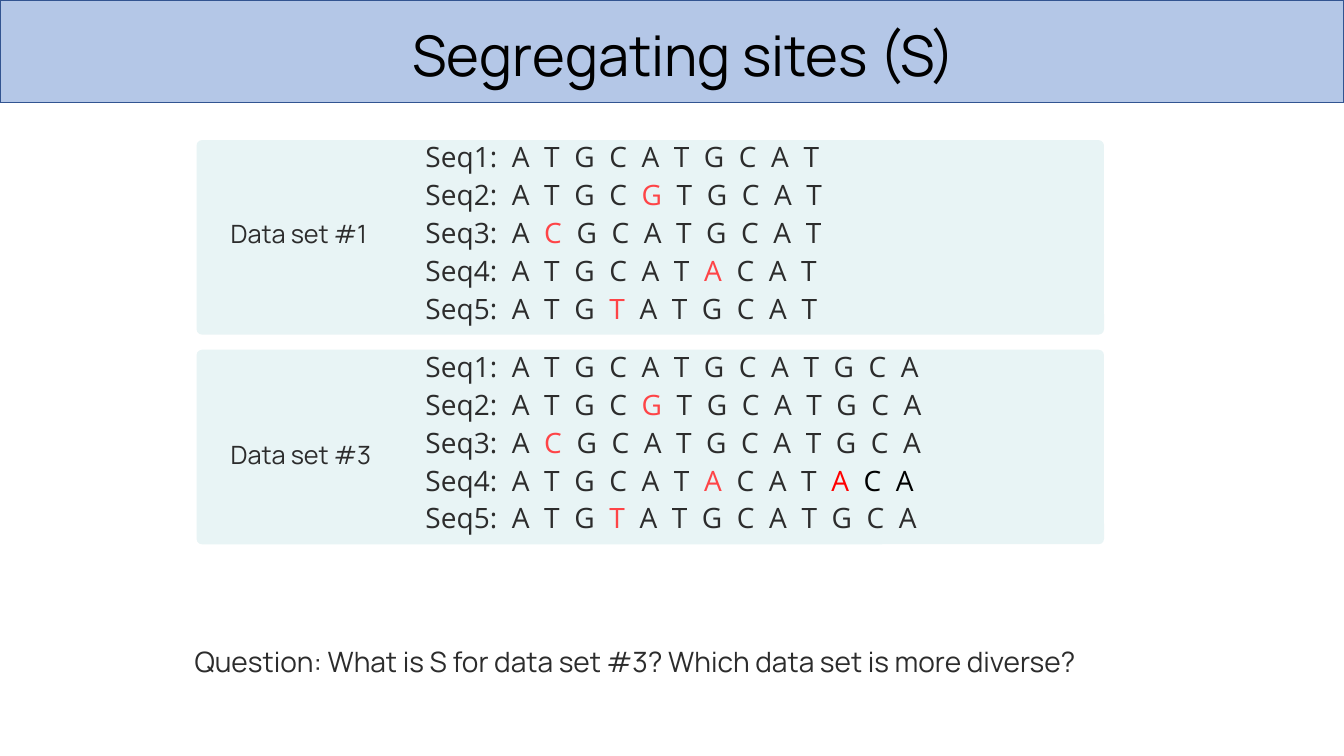
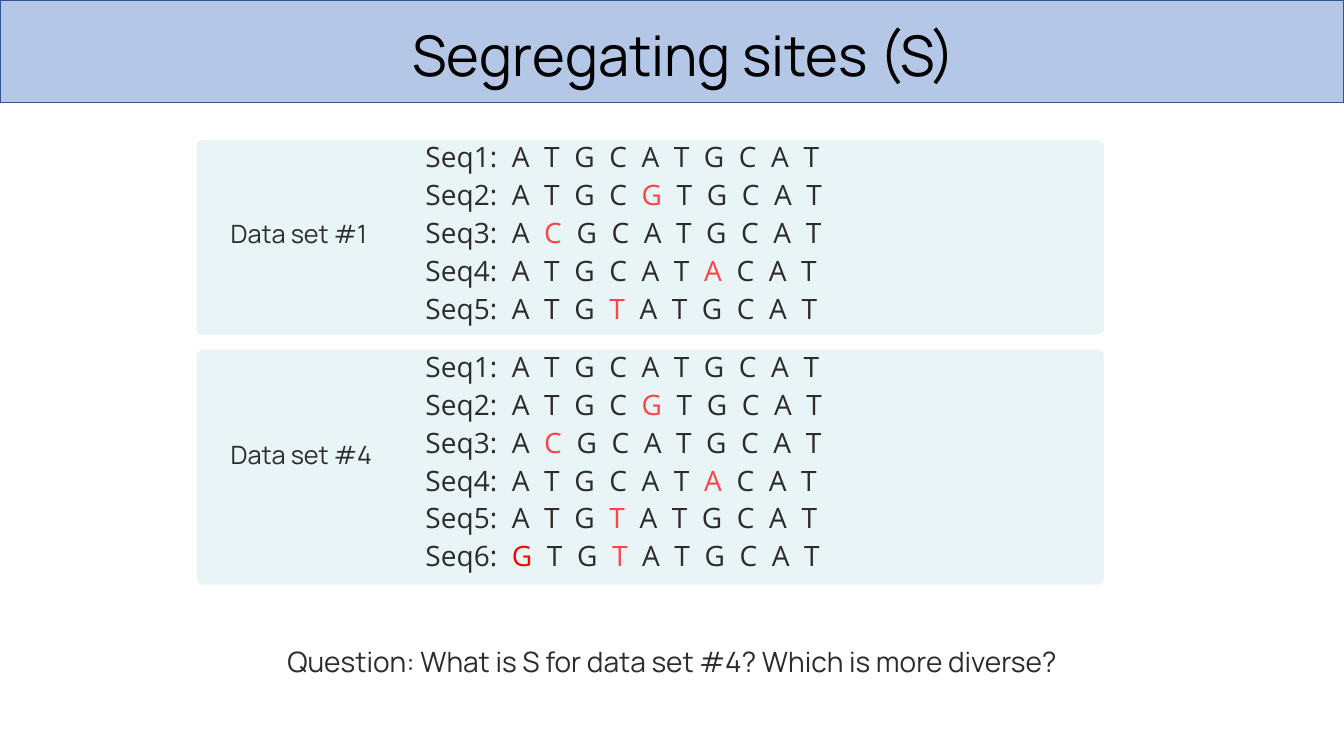
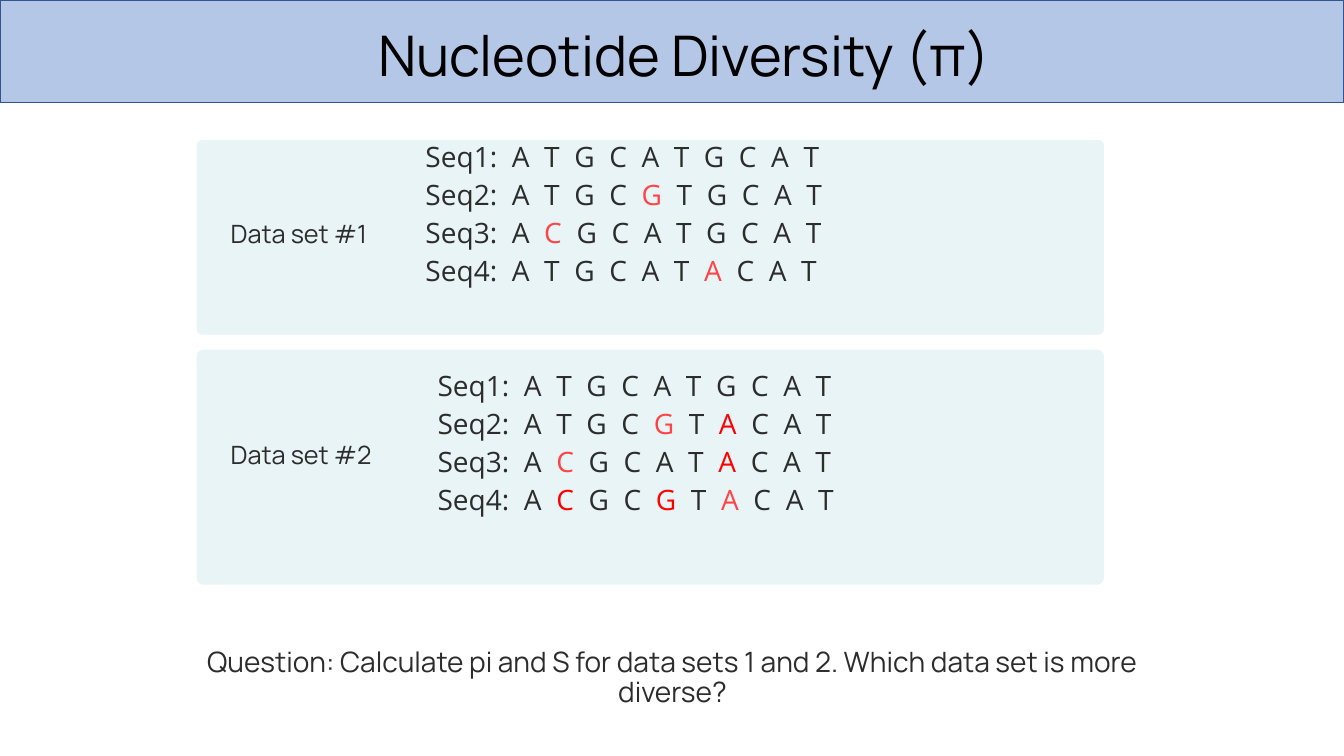
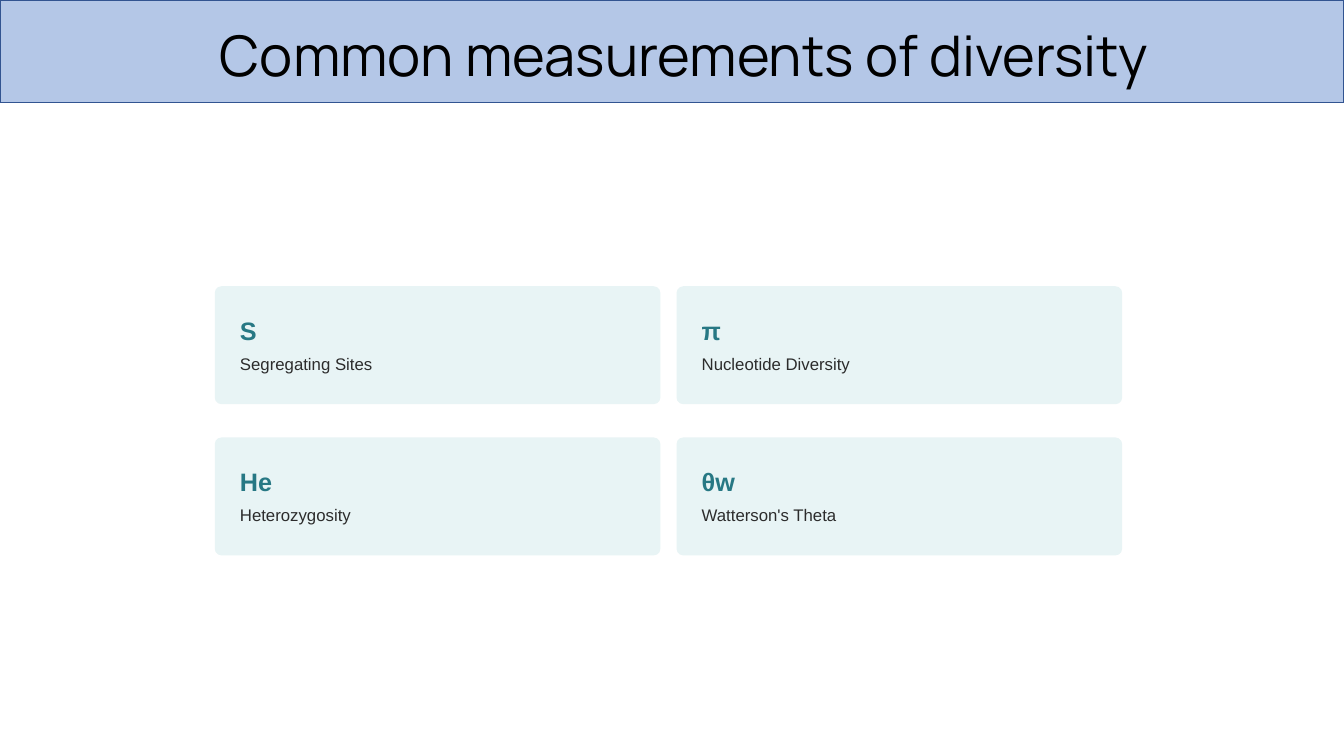
from dataclasses import dataclass
from itertools import groupby

from pptx import Presentation
from pptx.dml.color import RGBColor
from pptx.enum.shapes import MSO_SHAPE
from pptx.enum.text import PP_ALIGN
from pptx.util import Inches, Pt


@dataclass(frozen=True)
class Theme:
    band: RGBColor = RGBColor.from_string("B4C7E7")
    band_line: RGBColor = RGBColor.from_string("325491")
    panel: RGBColor = RGBColor.from_string("E8F4F5")
    title: RGBColor = RGBColor.from_string("000000")
    body: RGBColor = RGBColor.from_string("2C2C2C")
    symbol: RGBColor = RGBColor.from_string("277884")
    coral: RGBColor = RGBColor.from_string("FE4447")
    red: RGBColor = RGBColor.from_string("FF0000")
    heading_font: str = "Manrope"
    sequence_font: str = "Open Sans"
    card_font: str = "Arial"
    title_size: int = 40
    body_size: int = 20
    label_size: int = 18
    caption_size: int = 12
    base_spacing: int = 260  # letter spacing in hundredths of a point


THEME = Theme()
BASE_COLORS = {".": THEME.body, "c": THEME.coral, "r": THEME.red, "k": THEME.title}


def add_panel(slide, kind, left, top, width, height, fill, corner=None):
    panel = slide.shapes.add_shape(
        kind, Inches(left), Inches(top), Inches(width), Inches(height))
    panel.shadow.inherit = False
    panel.fill.solid()
    panel.fill.fore_color.rgb = fill
    panel.line.fill.background()
    if corner is not None:
        panel.adjustments[0] = corner
    return panel


def add_text(slide, left, top, width, height, text, size, font, color,
             align=PP_ALIGN.LEFT, bold=False, inset=False, line=None, gap=0):
    frame = slide.shapes.add_textbox(
        Inches(left), Inches(top), Inches(width), Inches(height)).text_frame
    frame.word_wrap = True
    if not inset:
        frame.margin_left = frame.margin_right = 0
        frame.margin_top = frame.margin_bottom = 0
    frame.text = text
    for paragraph in frame.paragraphs:
        paragraph.alignment = align
        paragraph.space_before = paragraph.space_after = Pt(gap)
        if line:
            paragraph.line_spacing = Pt(line)
        for run in paragraph.runs:
            run.font.size = Pt(size)
            run.font.name = font
            run.font.bold = bold
            run.font.color.rgb = color
    return frame


# Data sets: bases, and a colour code for each base
set_1 = [
    ("ATGCATGCAT", ".........."),
    ("ATGCGTGCAT", "....c....."),
    ("ACGCATGCAT", ".c........"),
    ("ATGCATACAT", "......c..."),
    ("ATGTATGCAT", "...c......"),
]
set_2 = [
    ("ATGCATGCAT", ".........."),
    ("ATGCGTACAT", "....c.r..."),
    ("ACGCATACAT", ".c....r..."),
    ("ACGCGTACAT", ".r..r.c..."),
]
set_3 = [(bases + "GCA", codes + "...") for bases, codes in set_1]
set_3[3] = ("ATGCATACATACA", "......c...rkk")
set_4 = set_1 + [("GTGTATGCAT", "r..c......")]

# Each data set: label, sequences, panel height, sequence left and top
first = ("Data set #1", set_1, 1.93, 4.22, 1.43)
comparisons = [
    ("Segregating sites (S)",
     "Question: What is S for data set #3? Which data set is more diverse?",
     PP_ALIGN.LEFT, [first, ("Data set #3", set_3, 1.93, 4.22, 3.51)]),
    ("Segregating sites (S)",
     "Question: What is S for data set #4? Which is more diverse?",
     PP_ALIGN.CENTER, [first, ("Data set #4", set_4, 2.33, 4.22, 3.51)]),
    ("Nucleotide Diversity (π)",
     "Question: Calculate pi and S for data sets 1 and 2. "
     "Which data set is more diverse?",
     PP_ALIGN.CENTER, [("Data set #1", set_1[:4], 1.93, 4.22, 1.43),
                       ("Data set #2", set_2, 2.33, 4.34, 3.7)]),
]
measures = [
    ("S", "Segregating Sites"),
    ("π", "Nucleotide Diversity"),
    ("He", "Heterozygosity"),
    ("θw", "Watterson's Theta"),
]

prs = Presentation()
prs.slide_width, prs.slide_height = Inches(13.33), Inches(7.5)

# Title band on every slide
titles = [comparison[0] for comparison in comparisons]
for title in titles + ["Common measurements of diversity"]:
    slide = prs.slides.add_slide(prs.slide_layouts[6])
    band = add_panel(slide, MSO_SHAPE.RECTANGLE, 0, 0, 13.33, 1.02, THEME.band)
    band.line.color.rgb = THEME.band_line
    band.line.width = Pt(1)
    add_text(slide, 0.24, 0.15, 13.09, 0.77, title, THEME.title_size,
             THEME.heading_font, THEME.title, PP_ALIGN.CENTER, inset=True)

# Comparison slides: two data sets and a question
for slide, (_, question, align, data_sets) in zip(prs.slides, comparisons):
    for (label, sequences, height, left, top), panel_top, label_top in zip(
            data_sets, (1.39, 3.47), (2.12, 4.31)):
        add_panel(slide, MSO_SHAPE.ROUNDED_RECTANGLE, 1.95, panel_top, 9, height,
                  THEME.panel, 0.028)
        add_text(slide, 2.19, label_top, 1.72, 0.4, label, THEME.label_size,
                 THEME.heading_font, THEME.body, inset=True)

        names = "\n".join(f"Seq{n}" for n in range(1, len(sequences) + 1))
        alignment = add_text(slide, left, top, 5.95, 0.375 * len(sequences), names,
                             THEME.body_size, THEME.sequence_font, THEME.body,
                             line=21, gap=3)
        # Bases follow the name, one run per colour, spread by letter spacing
        for paragraph, (bases, codes) in zip(alignment.paragraphs, sequences):
            parts = [(":", ".")] + [(f" {b}", c) for b, c in zip(bases, codes)]
            for code, group in groupby(parts, key=lambda part: part[1]):
                run = paragraph.add_run()
                run.text = "".join(text for text, _ in group)
                run.font.size = Pt(THEME.body_size)
                run.font.name = THEME.sequence_font
                run.font.color.rgb = BASE_COLORS[code]
                run._r.get_or_add_rPr().set("spc", str(THEME.base_spacing))

    add_text(slide, 1.93, 6.44, 9.48, 0.64, question, THEME.body_size,
             THEME.heading_font, THEME.body, align, line=21, gap=3)

# Summary slide: two by two cards
summary = prs.slides[3]
for index, (symbol, meaning) in enumerate(measures):
    row, column = divmod(index, 2)
    left, top = 2.13 + 4.58 * column, 2.84 + 1.5 * row
    add_panel(summary, MSO_SHAPE.ROUNDED_RECTANGLE, left, top, 4.42, 1.17,
              THEME.panel, 0.057)
    add_text(summary, left + 0.25, top + 0.25, 4, 0.33, symbol, THEME.label_size,
             THEME.card_font, THEME.symbol, bold=True, line=24)
    add_text(summary, left + 0.25, top + 0.62, 4, 0.25, meaning, THEME.caption_size,
             THEME.card_font, THEME.body, line=18, gap=3)

prs.save("out.pptx")
